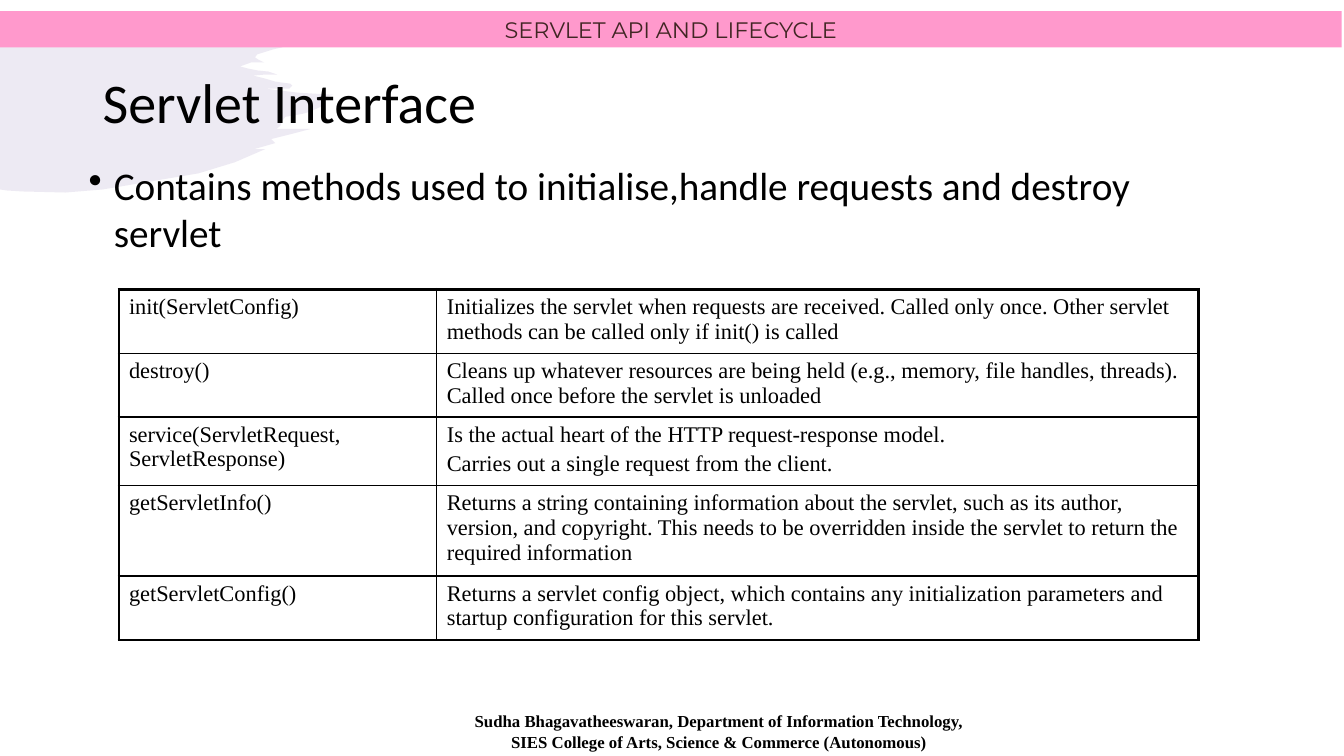
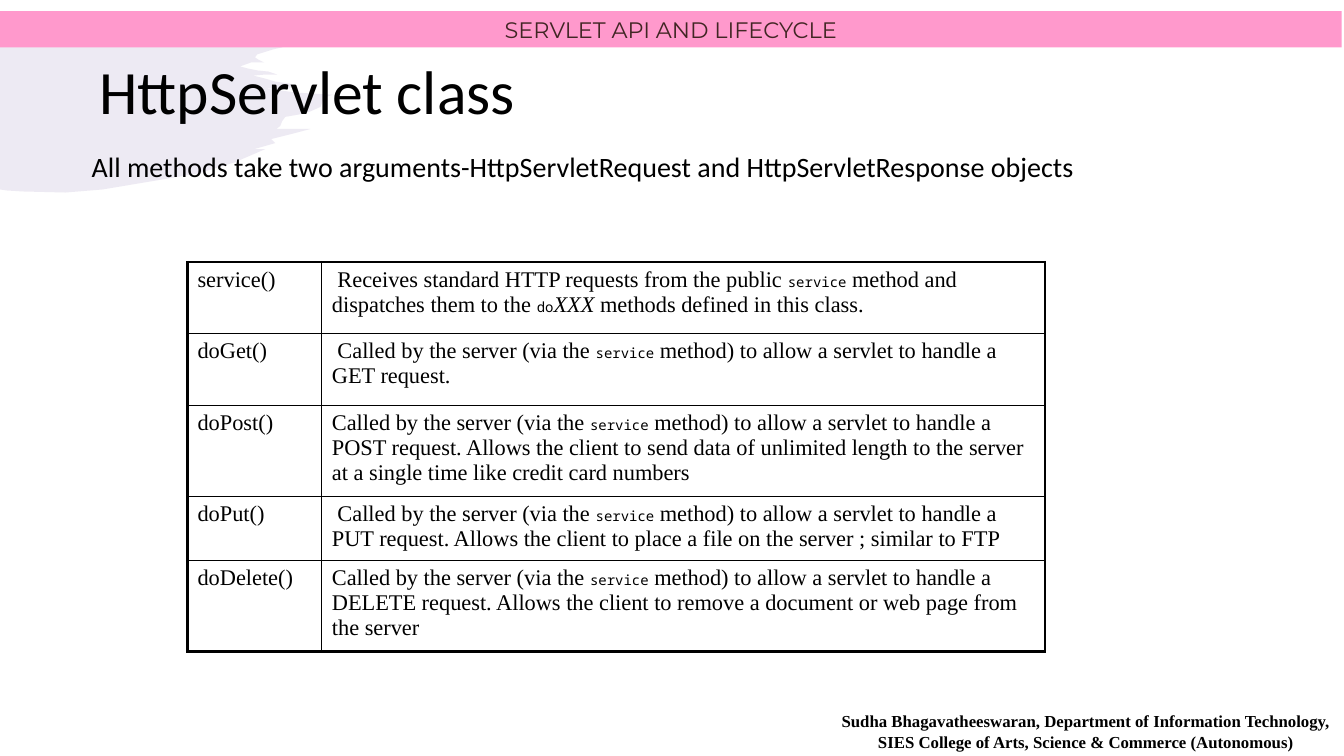
from pptx import Presentation
from pptx.dml.color import RGBColor
from pptx.enum.shapes import MSO_SHAPE
from pptx.enum.text import MSO_ANCHOR, PP_ALIGN
from pptx.oxml.ns import qn
from pptx.util import Inches, Pt
from lxml.etree import SubElement, Element

# Shared look
SLIDE_W, SLIDE_H = Inches(13.33), Inches(7.5)
BLACK = RGBColor(0x00, 0x00, 0x00)
PINK = RGBColor(0xFF, 0x99, 0xCC)
BROWN = RGBColor(0x41, 0x26, 0x24)
LILAC = RGBColor(0xA9, 0x96, 0xC6)
SANS, SERIF, MONO, BAND_FONT = "Calibri", "Times New Roman", "Noto Sans Mono", "Montserrat"
THIN, THICK = Pt(1), Pt(2.25)

BAND_TEXT = "SERVLET API AND LIFECYCLE"
FOOTER = ["Sudha Bhagavatheeswaran, Department of Information Technology,",
          "SIES College of Arts, Science & Commerce (Autonomous)"]
FOOTER_W = 38.25

# Brush stroke outline, in hundredths of an inch
BRUSH = [(0, 34), (6, 35), (25, 37), (66, 38), (102, 37), (151, 38), (194, 41),
         (248, 41), (267, 41), (280, 47), (271, 49), (255, 54), (253, 57), (256, 59),
         (262, 62), (249, 62), (238, 66), (246, 68), (256, 70), (266, 71), (275, 74),
         (263, 74), (251, 75), (263, 78), (273, 81), (280, 82), (288, 83), (290, 85),
         (287, 88), (284, 88), (263, 88), (296, 92), (330, 94), (321, 97), (318, 106),
         (307, 111), (300, 113), (283, 116), (280, 120), (278, 125), (274, 128),
         (308, 128), (289, 133), (269, 138), (273, 142), (252, 148), (263, 148),
         (233, 161), (197, 172), (102, 188), (65, 191), (23, 190), (7, 189), (0, 188)]

# Table contents: a cell is a list of paragraphs, a paragraph a text or a list of runs
SERVICE = ("service", MONO, 10, False)


def run(text, italic=False):
    return text, SERIF, 16, italic


def called(rest, lead=""):
    return [[run(lead + "Called by the server (via the "), SERVICE,
             run(" method) to allow a servlet to handle a " + rest)]]


INTERFACE_ROWS = [
    (["init(ServletConfig)"],
     ["Initializes the servlet when requests are received. Called only once. "
      "Other servlet methods can be called only if init() is called"]),
    (["destroy()"],
     ["Cleans up whatever resources are being held (e.g., memory, file handles, threads). "
      "Called once before the servlet is unloaded"]),
    (["service(ServletRequest, ServletResponse)"],
     ["Is the actual heart of the HTTP request-response model.",
      "Carries out a single request from the client."]),
    (["getServletInfo()"],
     ["Returns a string containing information about the servlet, such as its author, "
      "version, and copyright. This needs to be overridden inside the servlet to return "
      "the required information"]),
    (["getServletConfig()"],
     ["Returns a servlet config object, which contains any initialization parameters and "
      "startup configuration for this servlet."]),
]
HTTP_ROWS = [
    (["service()"],
     [[run(" Receives standard HTTP requests from the public "), SERVICE,
       run(" method and dispatches them to the "), ("do", MONO, 10, False),
       run("XXX", italic=True), run(" methods defined in this class.")]]),
    (["doGet()"], called("GET request.", lead=" ")),
    (["doPost()"],
     called("POST request. Allows the client to send data of unlimited length to the "
            "server at a single time like credit card numbers")),
    (["doPut()"],
     called("PUT request. Allows the client to place a file on the server ; "
            "similar to FTP", lead=" ")),
    (["doDelete()"],
     called("DELETE request. Allows the client to remove a document or web page "
            "from the server")),
]


def across(share):
    """Percent of the slide width."""
    return round(SLIDE_W * share / 100)


def down(share):
    """Percent of the slide height."""
    return round(SLIDE_H * share / 100)


def area(left, top, width, height):
    return across(left), down(top), across(width), down(height)


def write(tf, paragraphs, font, size, color=BLACK, bold=False, align=PP_ALIGN.LEFT, gap=0):
    tf.word_wrap = True
    for i, content in enumerate(paragraphs):
        p = tf.paragraphs[0] if i == 0 else tf.add_paragraph()
        p.alignment = align
        if i and gap:
            p.space_before = Pt(gap)
        p.font.name, p.font.size, p.font.bold = font, Pt(size), bold
        p.font.color.rgb = color
        if isinstance(content, str):
            p.add_run().text = content
            continue
        for text, name, points, italic in content:
            r = p.add_run()
            r.text = text
            r.font.name, r.font.size, r.font.italic = name, Pt(points), italic


def add_text(s, box, paragraphs, font, size, anchor=MSO_ANCHOR.TOP, **style):
    tf = s.shapes.add_textbox(*area(*box)).text_frame
    tf.vertical_anchor = anchor
    write(tf, paragraphs, font, size, **style)
    return tf


def paint(sp, color):
    sp.fill.solid()
    sp.fill.fore_color.rgb = color
    sp.line.fill.background()
    sp.shadow.inherit = False


def add_brush(s):
    builder = s.shapes.build_freeform(*BRUSH[0], scale=Inches(0.01))
    builder.add_line_segments(BRUSH[1:], close=True)
    sp = builder.convert_to_shape()
    paint(sp, LILAC)
    color = sp.fill._xPr.find(qn("a:solidFill"))[0]
    SubElement(color, qn("a:alpha"), val="20000")


def add_band(s):
    sp = s.shapes.add_shape(MSO_SHAPE.RECTANGLE, *area(0, 1.47, 99.83, 4.8))
    paint(sp, PINK)
    sp.text_frame.vertical_anchor = MSO_ANCHOR.MIDDLE
    write(sp.text_frame, [BAND_TEXT], BAND_FONT, 16, BROWN, align=PP_ALIGN.CENTER)


def add_title(s, box, text, size):
    tf = add_text(s, box, [text], SANS, size, MSO_ANCHOR.MIDDLE)
    tf.paragraphs[0].line_spacing = 0.9


def add_footer(s, center):
    add_text(s, (center - FOOTER_W / 2, 93.4, FOOTER_W, 6.6), FOOTER, SERIF, 12,
             bold=True, align=PP_ALIGN.CENTER)


def add_bullet(p):
    pPr = p._p.get_or_add_pPr()
    pPr.set("marL", str(Inches(0.25)))
    pPr.set("indent", str(-Inches(0.25)))
    pPr.find(qn("a:defRPr")).addprevious(Element(qn("a:buChar"), char="•"))


def set_borders(cell, widths):
    tcPr = cell._tc.get_or_add_tcPr()
    for i, (side, width) in enumerate(widths.items()):
        ln = Element(qn("a:ln" + side), w=str(width))
        color = SubElement(SubElement(ln, qn("a:solidFill")), qn("a:srgbClr"))
        color.set("val", str(BLACK))
        tcPr.insert(i, ln)


def add_methods_table(s, left, top, cols, heights, rows):
    box = area(left, top, sum(cols), sum(heights))
    table = s.shapes.add_table(len(rows), len(cols), *box).table
    table.first_row = table.horz_banding = False
    for column, width in zip(table.columns, cols):
        column.width = across(width)
    for row, height in zip(table.rows, heights):
        row.height = down(height)
    last_row, last_col = len(rows) - 1, len(cols) - 1
    for i, row in enumerate(rows):
        for j, paragraphs in enumerate(row):
            cell = table.cell(i, j)
            cell.fill.background()
            write(cell.text_frame, paragraphs, SERIF, 16, gap=3.2)
            set_borders(cell, {"L": THICK if j == 0 else THIN,
                               "R": THICK if j == last_col else THIN,
                               "T": THICK if i == 0 else THIN,
                               "B": THICK if i == last_row else THIN})


def new_slide(prs, footer_center):
    s = prs.slides.add_slide(prs.slide_layouts[6])
    add_brush(s)
    add_band(s)
    add_footer(s, footer_center)
    return s


def main():
    prs = Presentation()
    prs.slide_width, prs.slide_height = SLIDE_W, SLIDE_H

    # Servlet interface
    s = new_slide(prs, 53.5)
    add_title(s, (6.9, 5.33, 86.25, 17.33), "Servlet Interface", 40)
    tf = add_text(s, (5.85, 20.67, 86.25, 14),
                  ["Contains methods used to initialise,handle requests and destroy servlet"],
                  SANS, 28)
    add_bullet(tf.paragraphs[0])
    add_methods_table(s, 8.85, 38.27, (23.65, 56.7), (7.87, 8, 8.53, 11.27, 8),
                      INTERFACE_ROWS)

    # HttpServlet class
    s = new_slide(prs, 80.8)
    add_title(s, (6.67, 6.93, 86.25, 11.07), "HttpServlet class", 44)
    add_text(s, (6.08, 19.07, 92.55, 5.87),
             ["All methods take two arguments-HttpServletRequest and "
              "HttpServletResponse objects"], SANS, 20)
    add_methods_table(s, 13.95, 34.67, (10, 53.8), (9.47, 9.47, 12.1, 8.4, 12),
                      HTTP_ROWS)

    prs.save("out.pptx")


if __name__ == "__main__":
    main()
